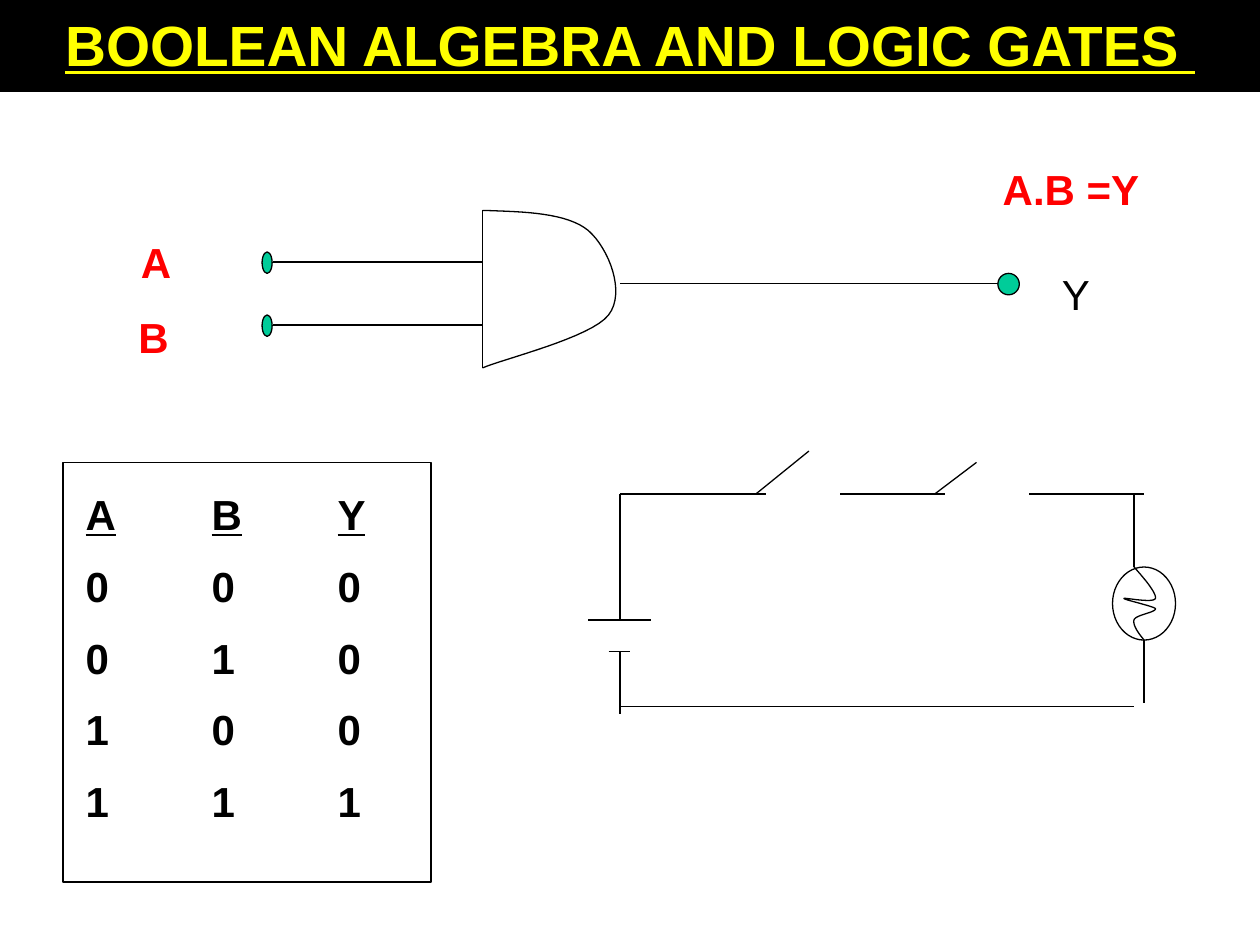
from dataclasses import dataclass

from lxml.etree import SubElement
from pptx import Presentation
from pptx.dml.color import RGBColor
from pptx.enum.shapes import MSO_CONNECTOR, MSO_SHAPE
from pptx.enum.text import MSO_ANCHOR, MSO_AUTO_SIZE, PP_ALIGN
from pptx.oxml.ns import qn
from pptx.util import Inches, Pt


@dataclass(frozen=True)
class Theme:
    font: str = "Arial"
    ink: RGBColor = RGBColor(0, 0, 0)
    paper: RGBColor = RGBColor(255, 255, 255)
    title: RGBColor = RGBColor(255, 255, 0)
    accent: RGBColor = RGBColor(255, 0, 0)
    terminal: RGBColor = RGBColor(0, 204, 153)
    title_size: float = 32.4
    body_size: float = 24
    line_width: float = 0.75


def curve_points(start, curves, steps=16):
    points = [start]
    for first, second, end in curves:
        origin = points[-1]
        for step in range(1, steps + 1):
            t = step / steps
            u = 1 - t
            points.append(tuple(
                u**3 * a + 3 * u**2 * t * b + 3 * u * t**2 * c + t**3 * d
                for a, b, c, d in zip(origin, first, second, end)
            ))
    return points


class SlideBuilder:
    def __init__(self, slide, theme):
        self.slide = slide
        self.shapes = slide.shapes
        self.theme = theme
        slide.background.fill.solid()
        slide.background.fill.fore_color.rgb = theme.paper

    def format_text(self, frame, size, color, bold=False, underline=False):
        for para in frame.paragraphs:
            for span in para.runs:
                font = span.font
                font.name, font.size = self.theme.font, Pt(size)
                font.color.rgb = color
                font.bold, font.underline = bold, underline

    def outline(self, shape, fill=None):
        shape.shadow.inherit = False
        shape.line.color.rgb = self.theme.ink
        shape.line.width = Pt(self.theme.line_width)
        if fill is None:
            shape.fill.background()
        else:
            shape.fill.solid()
            shape.fill.fore_color.rgb = fill

    def title(self, text, left, top, width, height):
        box = self.shapes.title
        box.left, box.top = Inches(left), Inches(top)
        box.width, box.height = Inches(width), Inches(height)
        box.fill.solid()
        box.fill.fore_color.rgb = self.theme.ink
        frame = box.text_frame
        frame.text = text
        frame.auto_size = MSO_AUTO_SIZE.NONE
        frame.vertical_anchor = MSO_ANCHOR.MIDDLE
        frame.paragraphs[0].alignment = PP_ALIGN.CENTER
        self.format_text(frame, self.theme.title_size, self.theme.title, True, True)

    def label(self, text, left, top, width, color, bold=True):
        box = self.shapes.add_textbox(Inches(left), Inches(top), Inches(width), Inches(0.5))
        frame = box.text_frame
        frame.word_wrap = True
        frame.text = text
        self.format_text(frame, self.theme.body_size, color, bold)

    def shape(self, kind, left, top, width, height, fill=None):
        shape = self.shapes.add_shape(
            kind, Inches(left), Inches(top), Inches(width), Inches(height)
        )
        self.outline(shape, fill)

    def line(self, x1, y1, x2, y2):
        wire = self.shapes.add_connector(
            MSO_CONNECTOR.STRAIGHT, Inches(x1), Inches(y1), Inches(x2), Inches(y2)
        )
        wire.line.color.rgb = self.theme.ink
        wire.line.width = Pt(self.theme.line_width)
        SubElement(wire.element.spPr, qn("a:effectLst"))

    def curve(self, start, curves):
        points = [(Inches(x), Inches(y)) for x, y in curve_points(start, curves)]
        builder = self.shapes.build_freeform(*points[0])
        builder.add_line_segments(points[1:], close=False)
        self.outline(builder.convert_to_shape())

    def table(self, rows, left, top, column_widths, row_height):
        frame = self.shapes.add_table(
            len(rows), len(column_widths), Inches(left), Inches(top),
            Inches(sum(column_widths)), Inches(row_height * len(rows)),
        )
        table = frame.table
        table.first_row = table.horz_banding = False
        for column, width in zip(table.columns, column_widths):
            column.width = Inches(width)
        for row_index, values in enumerate(rows):
            table.rows[row_index].height = Inches(row_height)
            for column_index, value in enumerate(values):
                cell = table.cell(row_index, column_index)
                cell.fill.background()
                cell.vertical_anchor = MSO_ANCHOR.MIDDLE
                cell.text_frame.text = value
                self.format_text(
                    cell.text_frame, self.theme.body_size, self.theme.ink,
                    True, row_index == 0,
                )


def draw_gate(builder):
    theme = builder.theme
    builder.line(4.92, 2.25, 7.92, 2.25)
    builder.shape(MSO_SHAPE.OVAL, 7.92, 2.17, 0.17, 0.17, theme.terminal)
    for y in (2.08, 2.58):
        builder.line(2.17, y, 3.83, y)
        builder.shape(MSO_SHAPE.OVAL, 2.08, y - 0.08, 0.08, 0.17, theme.terminal)
    builder.line(3.83, 1.67, 3.83, 2.92)
    builder.curve((3.83, 1.67), [
        ((4.17, 1.68), (4.5, 1.69), (4.67, 1.83)),
        ((4.83, 1.97), (4.97, 2.32), (4.83, 2.5)),
        ((4.69, 2.68), (3.99, 2.85), (3.83, 2.92)),
    ])
    builder.label("A", 1.02, 1.83, 0.8, theme.accent)
    builder.label("B", 1, 2.42, 1, theme.accent)
    builder.label("A.B =Y", 7.86, 1.25, 1.8, theme.accent)
    builder.label("Y", 8.33, 2.08, 1.08, theme.ink, bold=False)


def draw_truth_table(builder):
    rows = ["ABY", "000", "010", "100", "111"]
    builder.table(rows, 0.58, 3.81, (1, 1, 0.8), 0.57)
    builder.shape(MSO_SHAPE.RECTANGLE, 0.5, 3.67, 2.92, 3.33)


def draw_circuit(builder):
    top_wires = [(4.92, 6.08), (6.67, 7.5), (8.17, 9.08)]
    for start, end in top_wires:
        builder.line(start, 3.92, end, 3.92)
    switches = [(6, 6.42, 3.58), (7.42, 7.75, 3.67)]
    for hinge, tip, height in switches:
        builder.line(hinge, 3.92, tip, height)
    battery_and_return = [
        (4.92, 3.92, 4.92, 4.92), (4.67, 4.92, 5.17, 4.92),
        (4.83, 5.17, 5, 5.17), (4.92, 5.17, 4.92, 5.67),
        (4.92, 5.61, 9, 5.61),
    ]
    lamp_wires = [(9, 3.92, 9, 4.5), (9.08, 5.08, 9.08, 5.58)]
    for wire in battery_and_return + lamp_wires:
        builder.line(*wire)
    builder.shape(MSO_SHAPE.OVAL, 8.83, 4.5, 0.5, 0.58)
    builder.curve((9, 4.5), [
        ((9.09, 4.6), (9.18, 4.71), (9.17, 4.75)),
        ((9.15, 4.79), (8.92, 4.74), (8.92, 4.75)),
        ((8.92, 4.76), (9.15, 4.81), (9.17, 4.83)),
        ((9.18, 4.86), (9.01, 4.88), (9, 4.92)),
        ((8.99, 4.96), (9.03, 5.02), (9.08, 5.08)),
    ])


def main():
    deck = Presentation()
    deck.slide_width, deck.slide_height = Inches(10), Inches(7.5)
    slide = deck.slides.add_slide(deck.slide_layouts.get_by_name("Title Only"))
    builder = SlideBuilder(slide, Theme())
    builder.title("BOOLEAN ALGEBRA AND LOGIC GATES ", 0, -0.03, 10, 0.76)
    draw_gate(builder)
    draw_truth_table(builder)
    draw_circuit(builder)
    deck.save("out.pptx")


if __name__ == "__main__":
    main()
